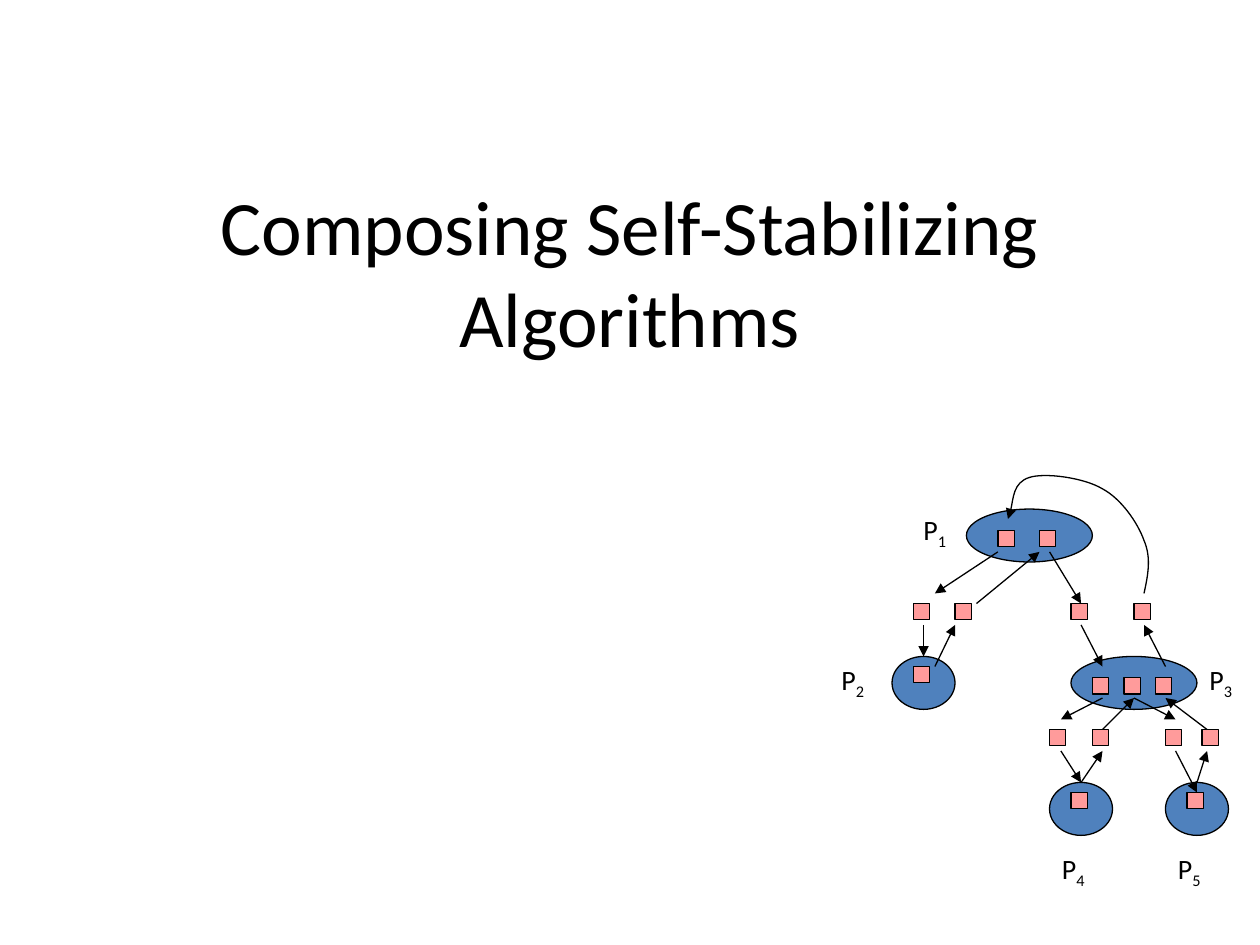
from lxml.etree import SubElement
from pptx import Presentation
from pptx.dml.color import RGBColor
from pptx.enum.shapes import MSO_CONNECTOR as Connector, MSO_SHAPE as Shape
from pptx.enum.text import MSO_ANCHOR as Anchor, MSO_AUTO_SIZE as AutoSize, PP_ALIGN as Align
from pptx.oxml.ns import qn
from pptx.util import Inches, Pt

COLOURS = {"ink": "000000", "process": "4F81BD", "register": "FF9B9B", "paper": "FFFFFF"}
FONT = "Calibri"
REGISTER_SIZE = 0.13
PROCESS_HEIGHT = 0.42

# Process number: label left, label top
LABELS = {1: (7.23, 4.02), 5: (9.25, 6.71), 4: (8.33, 6.71), 3: (9.5, 5.21), 2: (6.58, 5.21)}

# Left, top, width
PROCESSES = [(7.67, 4.04, 1), (8.5, 5.21, 1), (9.25, 6.21, 0.5), (7.08, 5.21, 0.5), (8.33, 6.21, 0.5)]

# Row top: left edges
REGISTERS = {
    4.21: [7.92, 8.25],
    4.79: [7.25, 7.58, 8.5, 9],
    5.29: [7.25],
    5.38: [8.67, 8.92, 9.17],
    5.79: [8.33, 8.67, 9.25, 9.54],
    6.29: [8.5, 9.42],
}

# Each chain is a run of (start, end) arrows
ARROWS = [
    ((7.92, 4.38), (7.42, 4.71)),
    ((7.33, 4.96), (7.33, 5.21)),
    ((7.42, 5.29), (7.58, 4.96)),
    ((7.75, 4.79), (8.25, 4.38)),
    ((8.33, 4.38), (8.58, 4.79)),
    ((8.58, 4.96), (8.75, 5.29)),
    ((8.75, 5.54), (8.42, 5.71)),
    ((8.42, 5.96), (8.58, 6.21)),
    ((8.58, 6.21), (8.75, 5.96)),
    ((8.75, 5.79), (9, 5.54)),
    ((9, 5.54), (9.33, 5.71)),
    ((9.33, 5.96), (9.5, 6.29)),
    ((9.5, 6.21), (9.58, 5.96)),
    ((9.58, 5.79), (9.25, 5.54)),
    ((9.25, 5.29), (9.08, 4.96)),
]

# Start point, then two controls and an end point for each Bezier segment
RETURN_CURVE = [
    (9.08, 4.71),
    (9.11, 4.57), (9.14, 4.43), (9.08, 4.29),
    (9.03, 4.15), (8.9, 3.96), (8.75, 3.88),
    (8.6, 3.79), (8.29, 3.75), (8.17, 3.79),
    (8.04, 3.83), (8.03, 4.07), (8, 4.12),
]


class SlideBuilder:
    def __init__(self, slide):
        self.slide = slide
        self.group = slide.shapes.add_group_shape()

    def colour(self, name):
        return RGBColor.from_string(COLOURS[name])

    def background(self):
        fill = self.slide.background.fill
        fill.solid()
        fill.fore_color.rgb = self.colour("paper")

    def run(self, paragraph, text, size, subscript=False):
        run = paragraph.add_run()
        run.text = text
        run.font.name = FONT
        run.font.size = Pt(size)
        run.font.color.rgb = self.colour("ink")
        if subscript:
            run.font._element.set("baseline", "-25000")

    def title(self, text):
        box = self.slide.shapes.add_textbox(Inches(0.5), Inches(0.3), Inches(9), Inches(3.7))
        frame = box.text_frame
        frame.word_wrap = True
        frame.vertical_anchor = Anchor.MIDDLE
        paragraph = frame.paragraphs[0]
        paragraph.alignment = Align.CENTER
        self.run(paragraph, text, 44)

    def label(self, number, left, top):
        box = self.group.shapes.add_textbox(Inches(left), Inches(top), Inches(0.43), Inches(0.37))
        frame = box.text_frame
        frame.word_wrap = False
        frame.auto_size = AutoSize.SHAPE_TO_FIT_TEXT
        paragraph = frame.paragraphs[0]
        self.run(paragraph, "P", 16)
        self.run(paragraph, str(number), 16, subscript=True)

    def outline(self, line):
        line.color.rgb = self.colour("ink")
        line.width = Pt(0.75)

    def arrowhead(self, line):
        SubElement(line._get_or_add_ln(), qn("a:tailEnd"), type="triangle")

    def node(self, kind, left, top, width, height, fill):
        shape = self.group.shapes.add_shape(
            kind, Inches(left), Inches(top), Inches(width), Inches(height))
        shape.shadow.inherit = False
        shape.fill.solid()
        shape.fill.fore_color.rgb = self.colour(fill)
        self.outline(shape.line)

    def arrow(self, start, end):
        points = [Inches(value) for value in (*start, *end)]
        connector = self.group.shapes.add_connector(Connector.STRAIGHT, *points)
        self.outline(connector.line)
        self.arrowhead(connector.line)
        SubElement(connector._element.spPr, qn("a:effectLst"))

    def curved_arrow(self, points):
        """Draw the points as a polyline, then join every three into a Bezier segment."""
        start, *rest = [(Inches(x), Inches(y)) for x, y in points]
        builder = self.group.shapes.build_freeform(*start)
        builder.add_line_segments(rest, close=False)
        shape = builder.convert_to_shape()
        shape.shadow.inherit = False
        shape.fill.background()
        self.outline(shape.line)
        self.arrowhead(shape.line)
        segments = list(shape._element.iter(qn("a:lnTo")))
        outline_path = segments[0].getparent()
        for index in range(0, len(segments), 3):
            bezier = SubElement(outline_path, qn("a:cubicBezTo"))
            for segment in segments[index:index + 3]:
                bezier.append(segment[0])
                outline_path.remove(segment)


def main():
    presentation = Presentation()
    presentation.slide_width = Inches(10)
    presentation.slide_height = Inches(7.5)
    builder = SlideBuilder(presentation.slides.add_slide(presentation.slide_layouts[6]))

    builder.background()
    builder.title("Composing Self-Stabilizing Algorithms")
    for number, (left, top) in LABELS.items():
        builder.label(number, left, top)
    for left, top, width in PROCESSES:
        builder.node(Shape.OVAL, left, top, width, PROCESS_HEIGHT, "process")
    for top, lefts in REGISTERS.items():
        for left in lefts:
            builder.node(Shape.RECTANGLE, left, top, REGISTER_SIZE, REGISTER_SIZE, "register")
    for start, end in ARROWS:
        builder.arrow(start, end)
    builder.curved_arrow(RETURN_CURVE)

    presentation.save("out.pptx")


if __name__ == "__main__":
    main()
